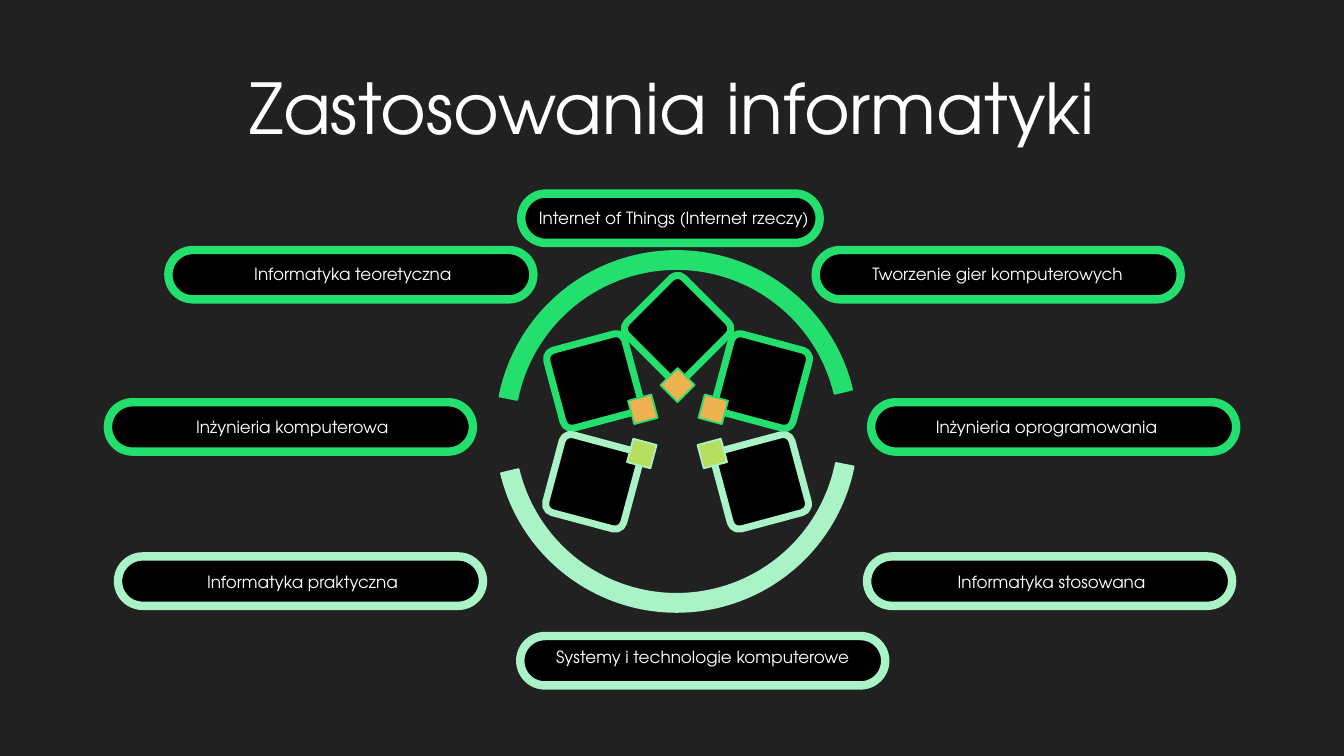
from math import cos, radians, sin

from lxml.etree import SubElement
from pptx import Presentation
from pptx.dml.color import RGBColor
from pptx.enum.shapes import MSO_SHAPE as Form
from pptx.enum.text import MSO_ANCHOR as Anchor, PP_ALIGN as Align
from pptx.oxml import parse_xml
from pptx.oxml.ns import nsdecls, qn
from pptx.util import Inches, Pt

COLORS = {
    "background": "212121", "white": "FFFFFF", "black": "000000",
    "green": "23E06E", "mint": "A9F3C6", "orange": "EFB251", "lime": "B6DF5E",
}
FONT = "TeX Gyre Adventor"
WIDE = 3.62
PILL_HEIGHT = 0.49
TILE_SIZE = 0.8
PIN_SIZE = 0.24
PIN_DISTANCE = 0.56
ARC_ANGLES = (114.71, 207.97, 0.05)

PILLS = [
    ("Internet of Things (Internet rzeczy)", 5.17, 1.92, 2.96, "green", 5.16, 2.01, 3.05),
    ("Informatyka teoretyczna", 1.67, 2.48, WIDE, "green", 1.84, 2.57, 3.32),
    ("Inżynieria komputerowa", 1.07, 3.99, WIDE, "green", 1.24, 4.08, 3.32),
    ("Tworzenie gier komputerowych", 8.09, 2.48, WIDE, "green", 8.22, 2.57, 3.35),
    ("Inżynieria oprogramowania", 8.64, 3.99, WIDE, "green", 8.72, 4.08, 3.32),
    ("Informatyka praktyczna", 1.17, 5.52, WIDE, "mint", 1.34, 5.62, 3.32),
    ("Informatyka stosowana", 8.6, 5.52, WIDE, "mint", 8.77, 5.62, 3.32),
    ("Systemy i technologie komputerowe", 5.16, 6.31, WIDE, "mint", 5.31, 6.37, 3.32),
]
TILES = [
    (6.72, 3.26, 225, "green", "orange"),
    (7.56, 3.78, 285, "green", "orange"),
    (5.89, 3.78, 165, "green", "orange"),
    (5.88, 4.78, 105, "mint", "lime"),
    (7.55, 4.78, 345, "mint", "lime"),
]


def rgb(name):
    """Return the named colour."""
    return RGBColor.from_string(COLORS[name])


def add_form(shapes, form, bounds, fill, line, weight, adjustments=(), rotation=0):
    """Add an outlined preset shape."""
    shape = shapes.add_shape(form, *map(Inches, bounds))
    shape.shadow.inherit = False
    shape.fill.solid()
    shape.fill.fore_color.rgb = rgb(fill)
    shape.line.color.rgb = rgb(line)
    shape.line.width = Pt(weight)
    shape.rotation = rotation
    for index, value in enumerate(adjustments):
        shape.adjustments[index] = value


def add_label(page, text, bounds, size):
    """Add centred white text and return its paragraph."""
    box = page.shapes.add_textbox(*map(Inches, bounds))
    frame = box.text_frame
    frame.word_wrap = True
    frame.vertical_anchor = Anchor.MIDDLE
    frame.text = text
    para = frame.paragraphs[0]
    para.alignment = Align.CENTER
    font = para.runs[0].font
    font.size = Pt(size)
    font.name = FONT
    font.color.rgb = rgb("white")
    return para


def add_title(page):
    """Add the heading with its soft text shadow."""
    para = add_label(page, "Zastosowania informatyki", (0.34, 0.66, 12.66, 0.79), 50)
    para.space_before = Pt(10)
    para.space_after = Pt(6)
    effects = parse_xml(f"<a:effectLst {nsdecls('a')}/>")
    shadow = SubElement(effects, qn("a:outerShdw"), blurRad="38100", dist="38100", dir="2700000")
    tint = SubElement(shadow, qn("a:srgbClr"), val=COLORS["black"])
    SubElement(tint, qn("a:alpha"), val="43000")
    span = para.runs[0]
    span.font.fill.solid()
    span.font.color.rgb = rgb("white")
    span._r.rPr.find(qn("a:solidFill")).addnext(effects)


def add_tile(page, center_x, center_y, rotation, line, pin_fill):
    """Add a tilted tile with a pin on its inner corner."""
    group = page.shapes.add_group_shape()
    angle = radians(rotation - 135)
    pin_x = center_x + PIN_DISTANCE * cos(angle)
    pin_y = center_y + PIN_DISTANCE * sin(angle)
    tile = (center_x - TILE_SIZE / 2, center_y - TILE_SIZE / 2, TILE_SIZE, TILE_SIZE)
    pin = (pin_x - PIN_SIZE / 2, pin_y - PIN_SIZE / 2, PIN_SIZE, PIN_SIZE)
    add_form(group.shapes, Form.ROUNDED_RECTANGLE, tile, "black", line, 5, (0.11,), rotation)
    add_form(group.shapes, Form.RECTANGLE, pin, pin_fill, line, 1.25, (), rotation)


def main():
    """Build and save the slide."""
    deck = Presentation()
    deck.slide_width, deck.slide_height = Inches(13.33), Inches(7.5)
    page = deck.slides.add_slide(deck.slide_layouts[6])
    page.background.fill.solid()
    page.background.fill.fore_color.rgb = rgb("background")

    add_title(page)
    for _, left, top, width, line, *_ in PILLS:
        bounds = (left, top, width, PILL_HEIGHT)
        add_form(page.shapes, Form.ROUNDED_RECTANGLE, bounds, "black", line, 6, (0.5,))
    for color, rotation in (("green", 0), ("mint", 180)):
        bounds = (4.92, 2.49, 3.58, 3.58)
        add_form(page.shapes, Form.BLOCK_ARC, bounds, color, color, 1.25, ARC_ANGLES, rotation)
    for tile in TILES:
        add_tile(page, *tile)
    for text, *_, left, top, width in PILLS:
        add_label(page, text, (left, top, width, 0.3), 12)

    deck.save("out.pptx")


if __name__ == "__main__":
    main()
